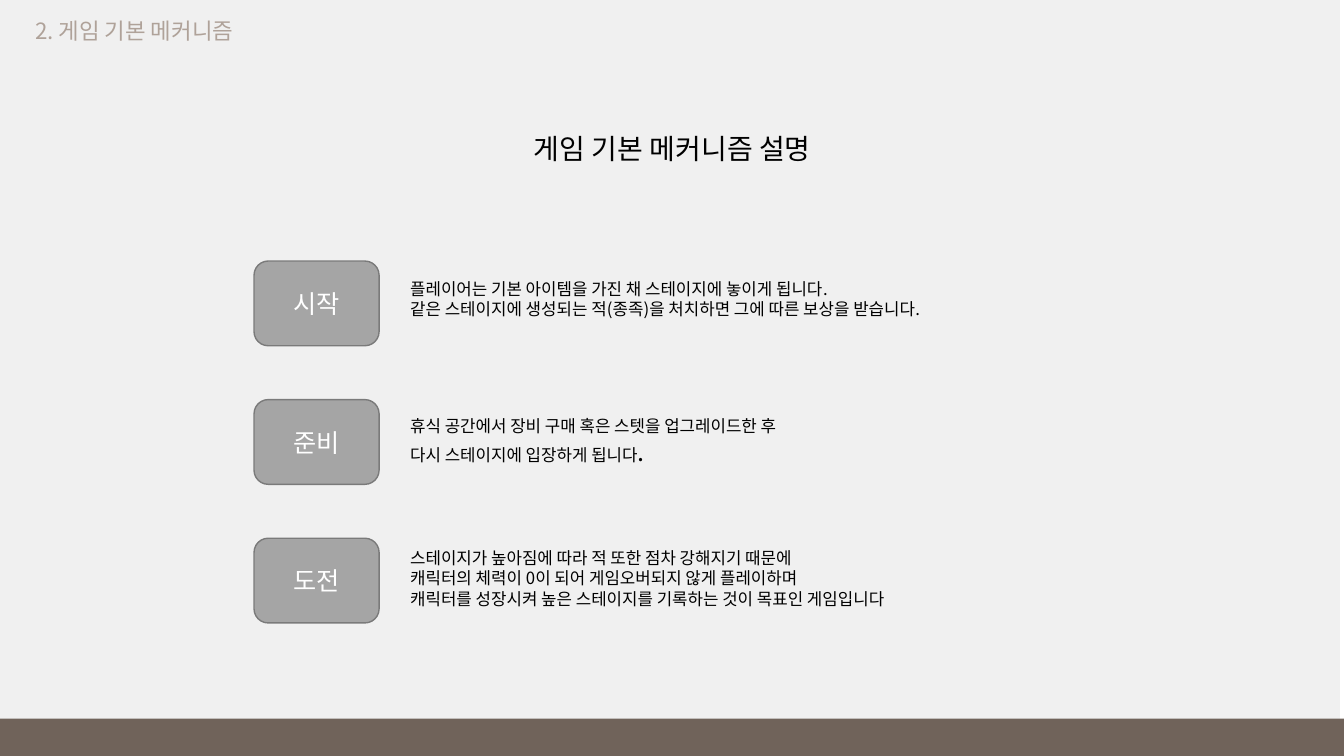
import pptx
import pptx.dml.color
import pptx.enum.shapes
import pptx.enum.text
import pptx.util

Inches, Pt = pptx.util.Inches, pptx.util.Pt
RGB = pptx.dml.color.RGBColor
Shape = pptx.enum.shapes.MSO_SHAPE
Align = pptx.enum.text.PP_ALIGN
Anchor = pptx.enum.text.MSO_ANCHOR
Fit = pptx.enum.text.MSO_AUTO_SIZE

PAPER = RGB(0xF0, 0xF0, 0xF0)
BROWN = RGB(0x70, 0x63, 0x5A)
TAN = RGB(0xAF, 0xA2, 0x99)
GRAY = RGB(0xA5, 0xA5, 0xA5)
EDGE = RGB(0x7A, 0x7A, 0x7A)
BLACK = RGB(0, 0, 0)
WHITE = RGB(0xFF, 0xFF, 0xFF)


class Deck:
    font = "Noto Sans CJK KR"
    pitch = 1.22  # line height per point of text size

    def __init__(self, slide):
        self.slide = slide

    def style(self, par, size, color, align=Align.LEFT, lead=1):
        par.alignment = align
        par.line_spacing = Pt(size * self.pitch * lead)
        for run in par.runs:
            run.font.size = Pt(size)
            run.font.color.rgb = color
            run.font.name = self.font
            props = run.font._element
            east = props.makeelement(pptx.oxml.ns.qn("a:ea"), {"typeface": self.font})
            props.find(pptx.oxml.ns.qn("a:latin")).addnext(east)

    def block(self, kind, box, fill, line=None):
        shape = self.slide.shapes.add_shape(kind, *map(Inches, box))
        shape.shadow.inherit = False
        shape.fill.solid()
        shape.fill.fore_color.rgb = fill
        if line is None:
            shape.line.fill.background()
        else:
            shape.line.color.rgb = line
            shape.line.width = Pt(1)
        return shape

    def button(self, box, text):
        shape = self.block(Shape.ROUNDED_RECTANGLE, box, GRAY, EDGE)
        frame = shape.text_frame
        frame.text = text
        frame.vertical_anchor = Anchor.MIDDLE
        self.style(frame.paragraphs[0], 18, WHITE, Align.CENTER)

    def text(self, box, text, size, color, align=Align.LEFT, lead=1, wrap=True):
        frame = self.slide.shapes.add_textbox(*map(Inches, box)).text_frame
        frame.text = text
        frame.word_wrap = wrap
        frame.auto_size = Fit.SHAPE_TO_FIT_TEXT
        for par in frame.paragraphs:
            self.style(par, size, color, align, lead)
        return frame


def main():
    show = pptx.Presentation()
    show.slide_width, show.slide_height = Inches(13.33), Inches(7.5)
    deck = Deck(show.slides.add_slide(show.slide_layouts[6]))

    # Backdrop and footer band
    deck.block(Shape.RECTANGLE, (-0.04, 0, 13.33, 7.5), PAPER)
    deck.block(Shape.RECTANGLE, (0, 7.13, 13.33, 0.37), BROWN)

    # Section label and title
    deck.text((0.25, 0.12, 2.41, 0.37), "2. 게임 기본 메커니즘", 16, TAN, wrap=False)
    deck.text((3.74, 1.08, 5.86, 1.13), "게임 기본 메커니즘 설명", 20, BLACK,
              Align.CENTER, lead=1.5)

    # Steps: button, top and height of the note, note
    steps = [
        ("시작", 2.71, 0.71,
         "플레이어는 기본 아이템을 가진 채 스테이지에 놓이게 됩니다.\n"
         "같은 스테이지에 생성되는 적(종족)을 처치하면 그에 따른 보상을 받습니다."),
        ("준비", 4.07, 0.94,
         "휴식 공간에서 장비 구매 혹은 스텟을 업그레이드한 후\n"
         "다시 스테이지에 입장하게 됩니다"),
        ("도전", 5.38, 0.71,
         "스테이지가 높아짐에 따라 적 또한 점차 강해지기 때문에\n"
         "캐릭터의 체력이 0이 되어 게임오버되지 않게 플레이하며\n"
         "캐릭터를 성장시켜 높은 스테이지를 기록하는 것이 목표인 게임입니다"),
    ]
    notes = []
    for row, (name, top, high, note) in enumerate(steps):
        deck.button((2.52, 2.59 + 1.375 * row, 1.24, 0.84), name)
        notes.append(deck.text((3.97, top, 6, high), note, 12, BLACK))

    # Larger full stop that closes the second note
    last = notes[1].paragraphs[-1]
    dot = last.add_run()
    dot.text = "."
    deck.style(last, 12, BLACK)
    dot.font.size = Pt(18)
    last.line_spacing = Pt(18 * deck.pitch)

    show.save("out.pptx")


if __name__ == "__main__":
    main()
